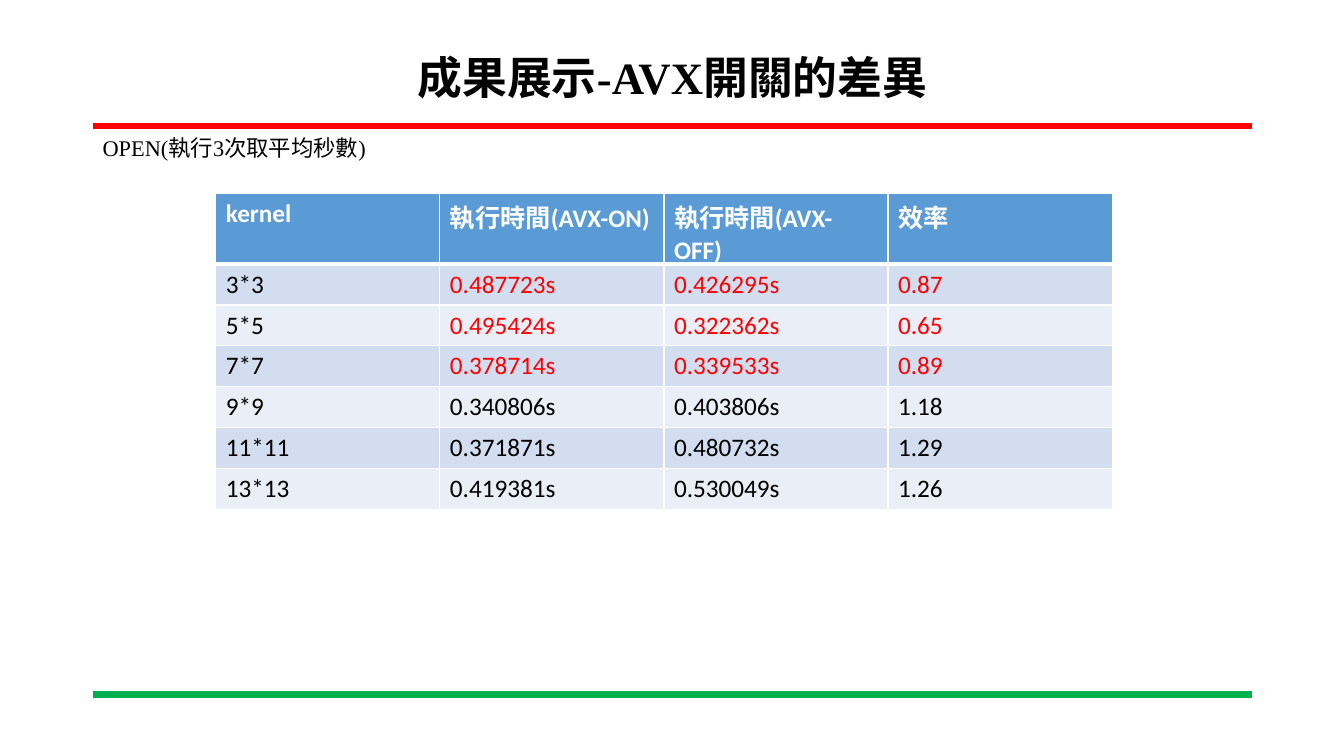
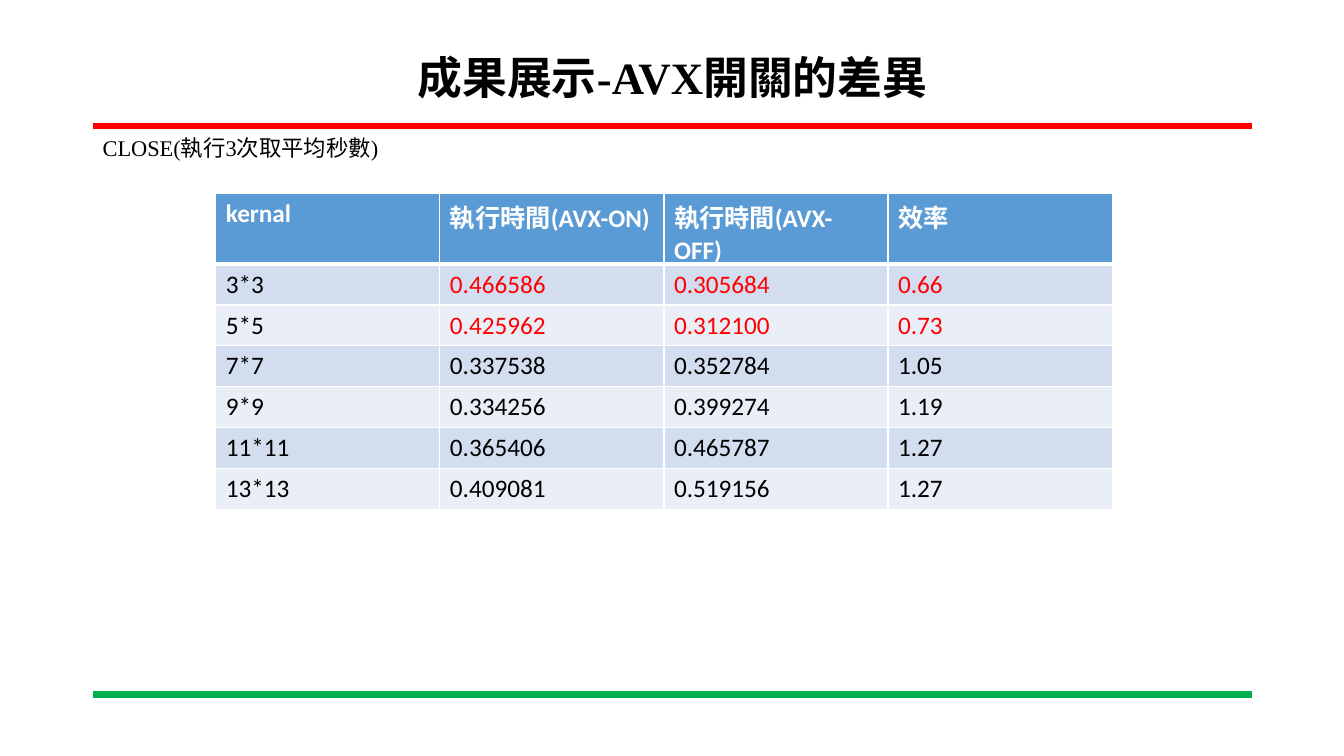
from lxml import etree
from pptx import Presentation
from pptx.dml.color import RGBColor
from pptx.enum.shapes import MSO_CONNECTOR as Line
from pptx.enum.text import MSO_ANCHOR as Anchor, MSO_AUTO_SIZE as Fit, PP_ALIGN as Align
from pptx.oxml import parse_xml
from pptx.oxml.ns import nsdecls, qn
from pptx.util import Inches, Pt

# Shared look
RED, GREEN, BLUE = "FF0000", "00B050", "5B9BD5"
BLACK, WHITE = "000000", "FFFFFF"
BANDS = ["D2DEEF", "EAEFF7"]
SERIF, SANS = "Times New Roman", "Calibri"
LEFT, WIDTH = 0.92, 11.5
RULES = [(1.25, RED), (6.89, GREEN)]
TITLE = "成果展示-AVX開關的差異"
TIMES = ["執行時間(AVX-ON)", "執行時間(AVX-OFF)", "效率"]

# Subtitle, first heading, time unit, rows
SLIDES = [
    ("OPEN(執行3次取平均秒數)", "kernel", "s", [
        ("3*3", "0.487723", "0.426295", "0.87"),
        ("5*5", "0.495424", "0.322362", "0.65"),
        ("7*7", "0.378714", "0.339533", "0.89"),
        ("9*9", "0.340806", "0.403806", "1.18"),
        ("11*11", "0.371871", "0.480732", "1.29"),
        ("13*13", "0.419381", "0.530049", "1.26"),
    ]),
    ("CLOSE(執行3次取平均秒數)", "kernal", "", [
        ("3*3", "0.466586", "0.305684", "0.66"),
        ("5*5", "0.425962", "0.312100", "0.73"),
        ("7*7", "0.337538", "0.352784", "1.05"),
        ("9*9", "0.334256", "0.399274", "1.19"),
        ("11*11", "0.365406", "0.465787", "1.27"),
        ("13*13", "0.409081", "0.519156", "1.27"),
    ]),
]


def rgb(code):
    return RGBColor.from_string(code)


def write(frame, text, size=18, font=SANS, color=BLACK, bold=False,
          align=Align.LEFT, space=1.0, before=0):
    frame.word_wrap = True
    para = frame.paragraphs[0]
    para.alignment, para.line_spacing, para.space_before = align, space, Pt(before)
    run = para.add_run()
    run.text = text
    run.font.size, run.font.name, run.font.bold = Pt(size), font, bold
    run.font.color.rgb = rgb(color)


deck = Presentation()
deck.slide_width, deck.slide_height = Inches(13.33), Inches(7.5)

for label, key, unit, rows in SLIDES:
    slide = deck.slides.add_slide(deck.slide_layouts[5])

    # Rules above and below the content
    for y, color in RULES:
        rule = slide.shapes.add_connector(
            Line.STRAIGHT, Inches(LEFT), Inches(y), Inches(LEFT + WIDTH), Inches(y))
        rule.line.color.rgb = rgb(color)
        rule.line.width = Pt(4.5)
        etree.SubElement(rule._element.spPr, qn("a:effectLst"))

    # Title
    title = slide.shapes.title
    title.left, title.top = Inches(LEFT), Inches(0.4)
    title.width, title.height = Inches(WIDTH), Inches(0.79)
    title.text_frame.auto_size = Fit.NONE
    title.text_frame.vertical_anchor = Anchor.MIDDLE
    write(title.text_frame, TITLE, size=32, font=SERIF, bold=True,
          align=Align.CENTER, space=0.9)

    # Subtitle
    note = slide.shapes.add_textbox(Inches(LEFT), Inches(1.31), Inches(WIDTH), Inches(0.45))
    write(note.text_frame, label, size=16, font=SERIF, space=0.9, before=3)

    # Table: rows slower with AVX are red
    grid = [[key, *TIMES]] + [[k, on + unit, off + unit, rate] for k, on, off, rate in rows]
    table = slide.shapes.add_table(
        len(grid), len(grid[0]), Inches(2.14), Inches(1.92), Inches(8.89), Inches(2.84)).table
    for r, row in enumerate(grid):
        head = r == 0
        slow = not head and float(row[-1]) < 1
        for c, text in enumerate(row):
            cell = table.cell(r, c)
            color = WHITE if head else RED if slow and c > 0 else BLACK
            write(cell.text_frame, text, color=color, bold=head)
            cell.fill.solid()
            cell.fill.fore_color.rgb = rgb(BLUE if head else BANDS[(r - 1) % 2])
            # Cell borders, thick under the heading
            for i, side in enumerate("LRTB"):
                thick = (head and side == "B") or (r == 1 and side == "T")
                cell._tc.get_or_add_tcPr().insert(i, parse_xml(
                    f'<a:ln{side} {nsdecls("a")} w="{Pt(3 if thick else 1)}">'
                    f'<a:solidFill><a:srgbClr val="{WHITE}"/></a:solidFill></a:ln{side}>'))

deck.save("out.pptx")
